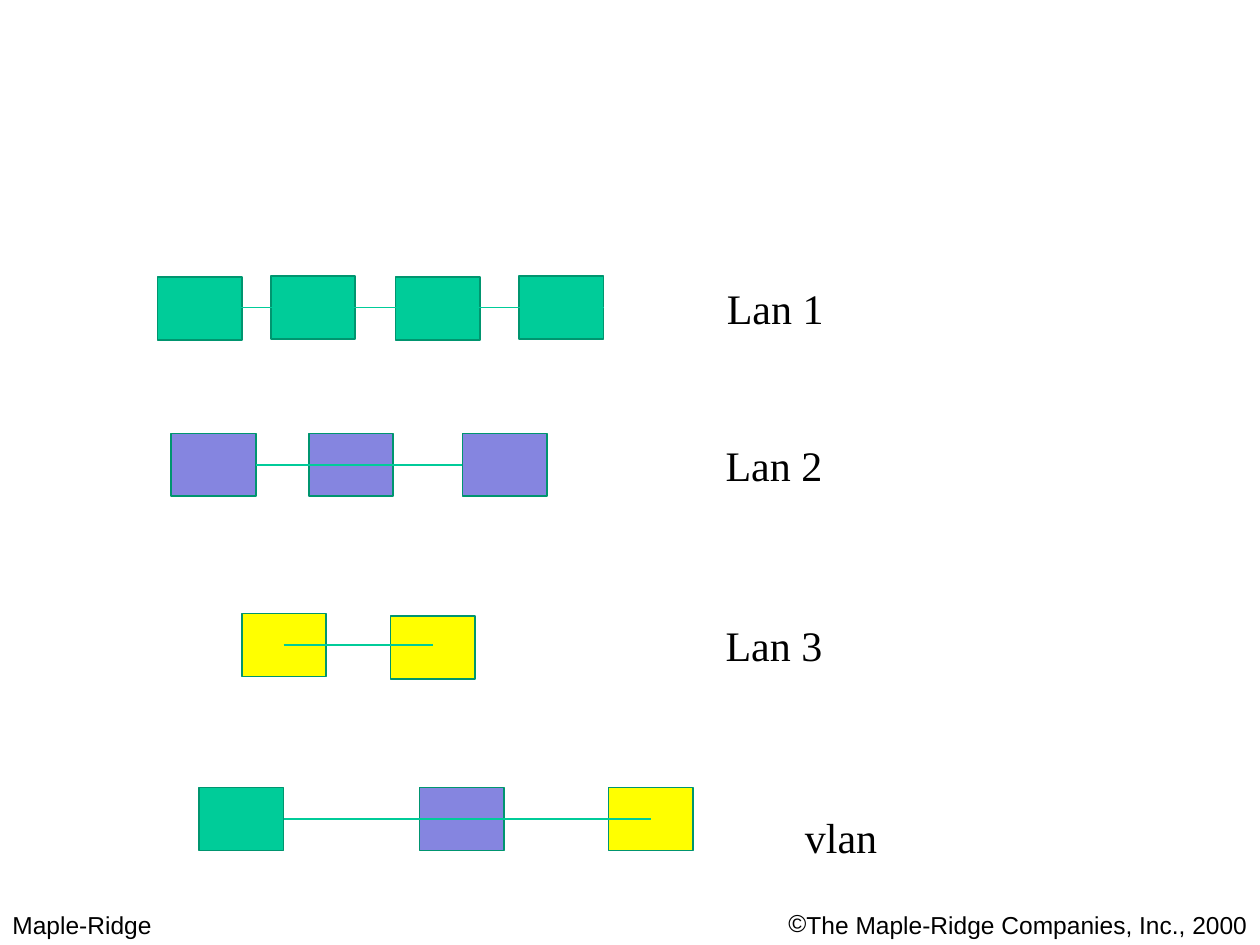
"""Build a slide of three LANs and one VLAN made of their stations."""
from lxml import etree
from pptx import Presentation
from pptx import util as u
from pptx.dml.color import RGBColor
from pptx.enum import shapes, text
from pptx.oxml.ns import qn

COLORS = {"green": "00CC99", "violet": "8585E0", "yellow": "FFFF00",
          "outline": "00956F", "black": "000000"}
STATION_WIDTH, STATION_HEIGHT = 0.67, 0.5
LEFT_SIDE, RIGHT_SIDE = 1, 3

NETWORKS = [
    {"label": ("Lan 1", 5.67, 2.19),
     "stations": [(1.25, 2.2, "green"), (2.15, 2.19, "green"),
                  (3.14, 2.2, "green"), (4.12, 2.19, "green")],
     "cable": (1.7, 4.79, 2.44), "joins": (None, RIGHT_SIDE)},
    {"label": ("Lan 2", 5.66, 3.44),
     "stations": [(1.36, 3.44, "violet"), (2.45, 3.44, "violet"), (3.67, 3.44, "violet")],
     "cable": (2.03, 3.67, 3.69), "joins": (RIGHT_SIDE, LEFT_SIDE)},
    {"label": ("Lan 3", 5.66, 4.87),
     "stations": [(1.92, 4.87, "yellow"), (3.1, 4.89, "yellow")],
     "cable": (2.25, 3.44, 5.12), "joins": (None, None)},
    {"label": ("vlan", 6.29, 6.39),
     "stations": [(1.58, 6.25, "green"), (3.33, 6.25, "violet"), (4.83, 6.25, "yellow")],
     "cable": (2.25, 5.17, 6.5), "joins": (RIGHT_SIDE, None)},
]
PUBLISHER = "Maple-Ridge"
COPYRIGHT = "The Maple-Ridge Companies, Inc., 2000"


def color(name):
    return RGBColor.from_string(COLORS[name])


def add_text(slide, words, left, top, width, height, font, size):
    box = slide.shapes.add_textbox(*map(u.Inches, (left, top, width, height)))
    box.text_frame.word_wrap = True
    paragraph = box.text_frame.paragraphs[0]
    paragraph.text = words
    paragraph.font.name = font
    paragraph.font.size = u.Pt(size)
    paragraph.font.color.rgb = color("black")
    return paragraph


def add_station(slide, left, top, fill):
    station = slide.shapes.add_shape(
        shapes.MSO_SHAPE.RECTANGLE,
        *map(u.Inches, (left, top, STATION_WIDTH, STATION_HEIGHT)))
    station.shadow.inherit = False
    station.fill.solid()
    station.fill.fore_color.rgb = color(fill)
    station.line.color.rgb = color("outline")
    station.line.width = u.Pt(1)
    return station


def add_cable(slide, start, end, height, stations, joins):
    cable = slide.shapes.add_connector(
        shapes.MSO_CONNECTOR.STRAIGHT, *map(u.Inches, (start, height, end, height)))
    begin_side, end_side = joins
    if begin_side is not None:
        cable.begin_connect(stations[0], begin_side)
    if end_side is not None:
        cable.end_connect(stations[-1], end_side)
    cable.line.color.rgb = color("green")
    cable.line.width = u.Pt(0.75)
    etree.SubElement(cable.element.spPr, qn("a:effectLst"))


def add_bullet(paragraph, character):
    properties = paragraph._p.get_or_add_pPr()
    properties.set("marL", "0")
    properties.set("indent", str(u.Inches(-0.1)))
    bullet_color = etree.SubElement(properties, qn("a:buClr"))
    etree.SubElement(bullet_color, qn("a:srgbClr"), val=COLORS["black"])
    etree.SubElement(properties, qn("a:buFont"), typeface="Arial")
    etree.SubElement(properties, qn("a:buChar"), char=character)
    properties.append(properties.find(qn("a:defRPr")))


def main():
    presentation = Presentation()
    presentation.slide_width, presentation.slide_height = u.Inches(10), u.Inches(7.5)
    slide = presentation.slides.add_slide(presentation.slide_layouts[6])

    add_text(slide, PUBLISHER, 0, 7.17, 2.42, 0.33, "Arial", 14)
    notice = add_text(slide, COPYRIGHT, 5, 7.17, 5, 0.33, "Arial", 14)
    notice.alignment = text.PP_ALIGN.RIGHT
    add_bullet(notice, "©")

    for network in NETWORKS:
        stations = [add_station(slide, *station) for station in network["stations"]]
        add_cable(slide, *network["cable"], stations, network["joins"])
        add_text(slide, *network["label"], 1.25, 0.5, "Times New Roman", 24)

    presentation.save("out.pptx")


if __name__ == "__main__":
    main()
